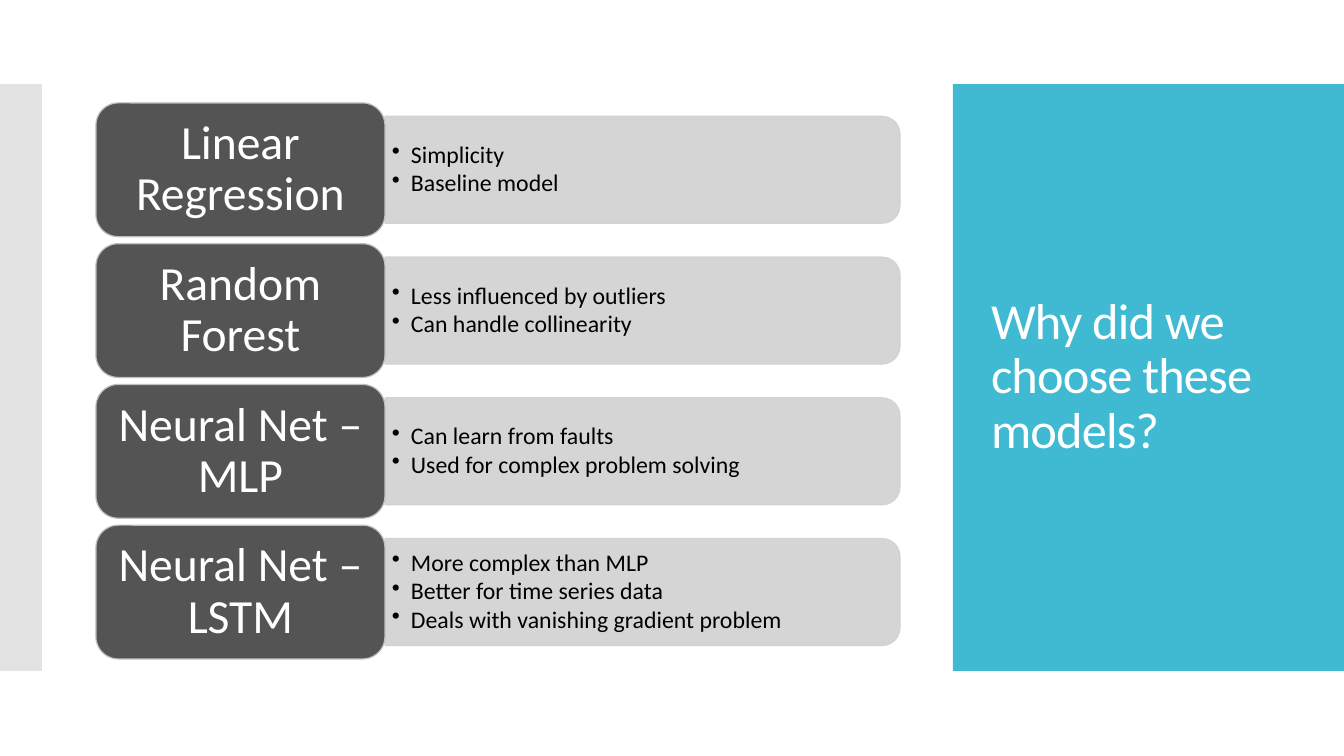
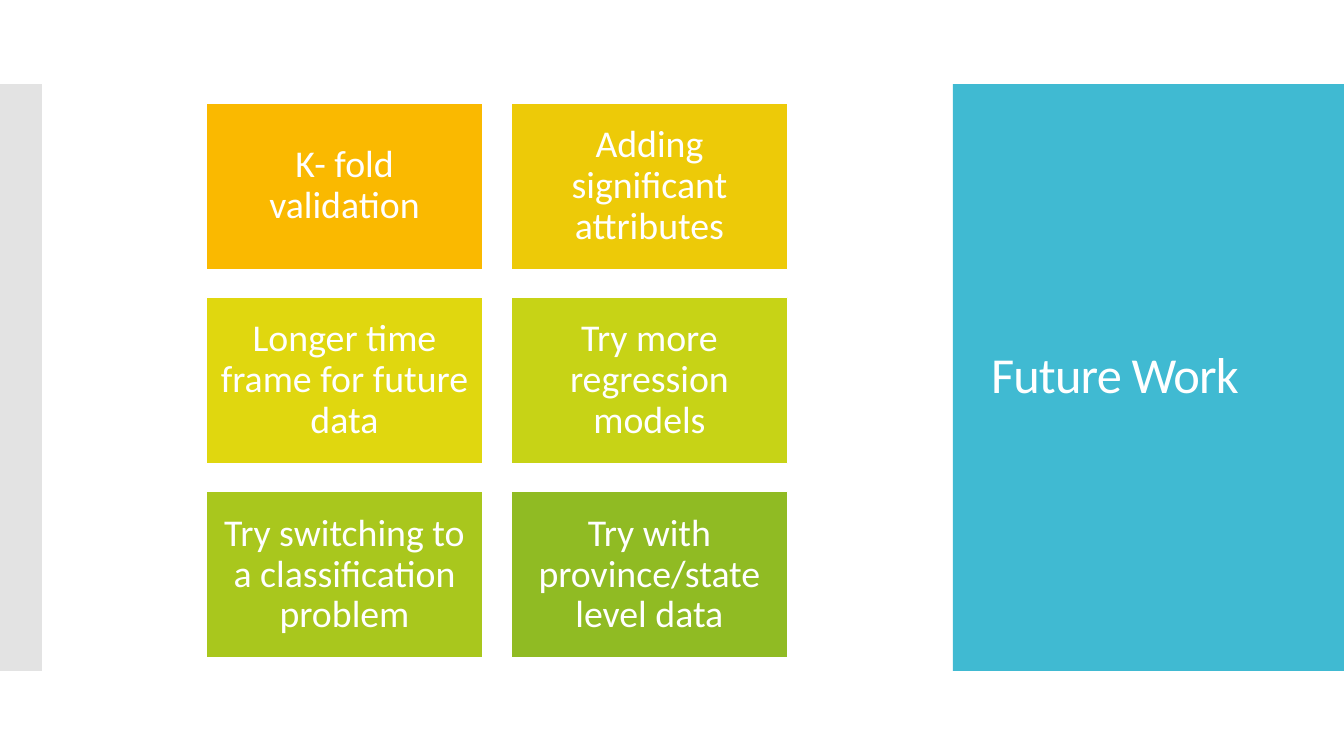
from lxml import etree
from pptx import Presentation
from pptx.dml.color import RGBColor
from pptx.enum.shapes import MSO_SHAPE
from pptx.enum.text import MSO_ANCHOR, PP_ALIGN
from pptx.oxml.ns import qn
from pptx.util import Pt

RECT = MSO_SHAPE.RECTANGLE
ROUNDED = MSO_SHAPE.ROUNDED_RECTANGLE
TOP_ROUNDED = MSO_SHAPE.ROUND_2_SAME_RECTANGLE
MIDDLE = MSO_ANCHOR.MIDDLE
LEFT, CENTER = PP_ALIGN.LEFT, PP_ALIGN.CENTER

# Shared style
SLIDE_W, SLIDE_H = 1344, 756
EMU_PER_PX = 12192000 / SLIDE_W
FONT = "Calibri"
LINE_PT = 0.85
BAND_Y, BAND_H = 84, 587
WHITE = RGBColor(0xFF, 0xFF, 0xFF)
BLACK = RGBColor(0x00, 0x00, 0x00)
TEAL = RGBColor(0x40, 0xBA, 0xD2)
EDGE_GREY = RGBColor(0xC8, 0xC8, 0xC8)
BAR_GREY = RGBColor(0xD1, 0xD1, 0xD1)
LABEL_GREY = RGBColor(0x54, 0x54, 0x54)
OUTLINE_GREY = RGBColor(0xBF, 0xBF, 0xBF)

# Slide content
MODELS = [
    ("Linear Regression", ["Simplicity", "Baseline model"]),
    ("Random Forest", ["Less influenced by outliers", "Can handle collinearity"]),
    ("Neural Net – MLP", ["Can learn from faults", "Used for complex problem solving"]),
    ("Neural Net – LSTM", ["More complex than MLP", "Better for time series data",
                           "Deals with vanishing gradient problem"]),
]
IDEAS = [
    ("K- fold validation", RGBColor(0xFA, 0xB9, 0x00)),
    ("Adding significant attributes", RGBColor(0xED, 0xCA, 0x08)),
    ("Longer time frame for future data", RGBColor(0xE0, 0xD7, 0x0F)),
    ("Try more regression models", RGBColor(0xC7, 0xD3, 0x16)),
    ("Try switching to a classification problem", RGBColor(0xA9, 0xC7, 0x1D)),
    ("Try with province/state level data", RGBColor(0x90, 0xBB, 0x23)),
]


def px(*lengths):
    return [round(n * EMU_PER_PX) for n in lengths]


def add_box(slide, kind, box, fill, line=None, opacity=100):
    sp = slide.shapes.add_shape(kind, *px(*box))
    sp.shadow.inherit = False
    sp.fill.solid()
    sp.fill.fore_color.rgb = fill
    if line is None:
        sp.line.fill.background()
    else:
        sp.line.color.rgb = line
        sp.line.width = Pt(LINE_PT)
    if opacity < 100:
        for color in list(sp._element.spPr.iter(qn("a:srgbClr"))):
            etree.SubElement(color, qn("a:alpha"), val=str(opacity * 1000))
    return sp


def set_text(sp, lines, size, color, insets, align=CENTER, bullet_indent=0):
    tf = sp.text_frame
    tf.word_wrap = True
    tf.vertical_anchor = MIDDLE
    tf.margin_left, tf.margin_top = tf.margin_right, tf.margin_bottom = px(*insets)
    tf.text = "\n".join(lines)
    for p in tf.paragraphs:
        p.alignment = align
        p.line_spacing = 0.9
        if bullet_indent:
            p.space_after = Pt(2)
            indent, = px(bullet_indent)
            pPr = p._p.get_or_add_pPr()
            pPr.set("marL", str(indent))
            pPr.set("indent", str(-indent))
            etree.SubElement(pPr, qn("a:buChar"), char="•")
        for r in p.runs:
            r.font.name = FONT
            r.font.size = Pt(size)
            r.font.color.rgb = color


def add_frame(prs, title):
    """Blank slide with the title panel on the right and the strip on the left."""
    slide = prs.slides.add_slide(prs.slide_layouts[6])
    panel_x = 953
    add_box(slide, RECT, (panel_x, BAND_Y, SLIDE_W - panel_x, BAND_H), TEAL)
    add_box(slide, RECT, (0, BAND_Y, 42, BAND_H), EDGE_GREY, opacity=50)
    tb = slide.shapes.add_textbox(*px(panel_x + 28, BAND_Y + 40, 325, BAND_H - 80))
    set_text(tb, [title], 36, WHITE, (10, 5), LEFT)
    for r in tb.text_frame.paragraphs[0].runs:
        r.font._element.set("spc", "-60")
    return slide


def add_model_row(slide, box, name, reasons):
    x, y, w, h = box
    label_w = 289
    bar_x, bar_w, bar_h = x + label_w, w - label_w, h * 0.8
    # Bar: a top-rounded shape turned a quarter, so its right end is round
    bar = add_box(slide, TOP_ROUNDED,
                  (bar_x + (bar_w - bar_h) / 2, y + (h - bar_w) / 2, bar_h, bar_w),
                  BAR_GREY, BAR_GREY, opacity=90)
    bar.rotation = 90
    # Reasons
    tb = slide.shapes.add_textbox(*px(bar_x, y + h * 0.1 + 5, bar_w - 5, bar_h - 10))
    set_text(tb, reasons, 17, BLACK, (7, 4), LEFT, bullet_indent=19)
    # Label
    label = add_box(slide, ROUNDED, (x, y, label_w, h), LABEL_GREY, OUTLINE_GREY)
    set_text(label, [name], 34, WHITE, (14, 7))


def add_model_list(slide, box, models, gap=7):
    x, y, w, h = box
    row_h = (h - gap * (len(models) - 1)) / len(models)
    for i, (name, reasons) in enumerate(models):
        add_model_row(slide, (x, y + i * (row_h + gap), w, row_h), name, reasons)


def add_card_grid(slide, box, cards, cols=2, gap=28):
    x, y, w, h = box
    rows = -(-len(cards) // cols)
    card_w = (w - gap * (cols - 1)) / cols
    card_h = (h - gap * (rows - 1)) / rows
    for i, (text, fill) in enumerate(cards):
        row, col = divmod(i, cols)
        card = add_box(slide, RECT, (x + col * (card_w + gap), y + row * (card_h + gap),
                                     card_w, card_h), fill, WHITE)
        set_text(card, [text], 27, WHITE, (11, 11))


def main():
    prs = Presentation()
    prs.slide_width, prs.slide_height = px(SLIDE_W, SLIDE_H)
    slide = add_frame(prs, "Why did we choose these models?")
    add_model_list(slide, (96, 103, 804, 556), MODELS)
    slide = add_frame(prs, "Future Work")
    add_card_grid(slide, (206, 103, 582, 555), IDEAS)
    prs.save("out.pptx")


if __name__ == "__main__":
    main()
